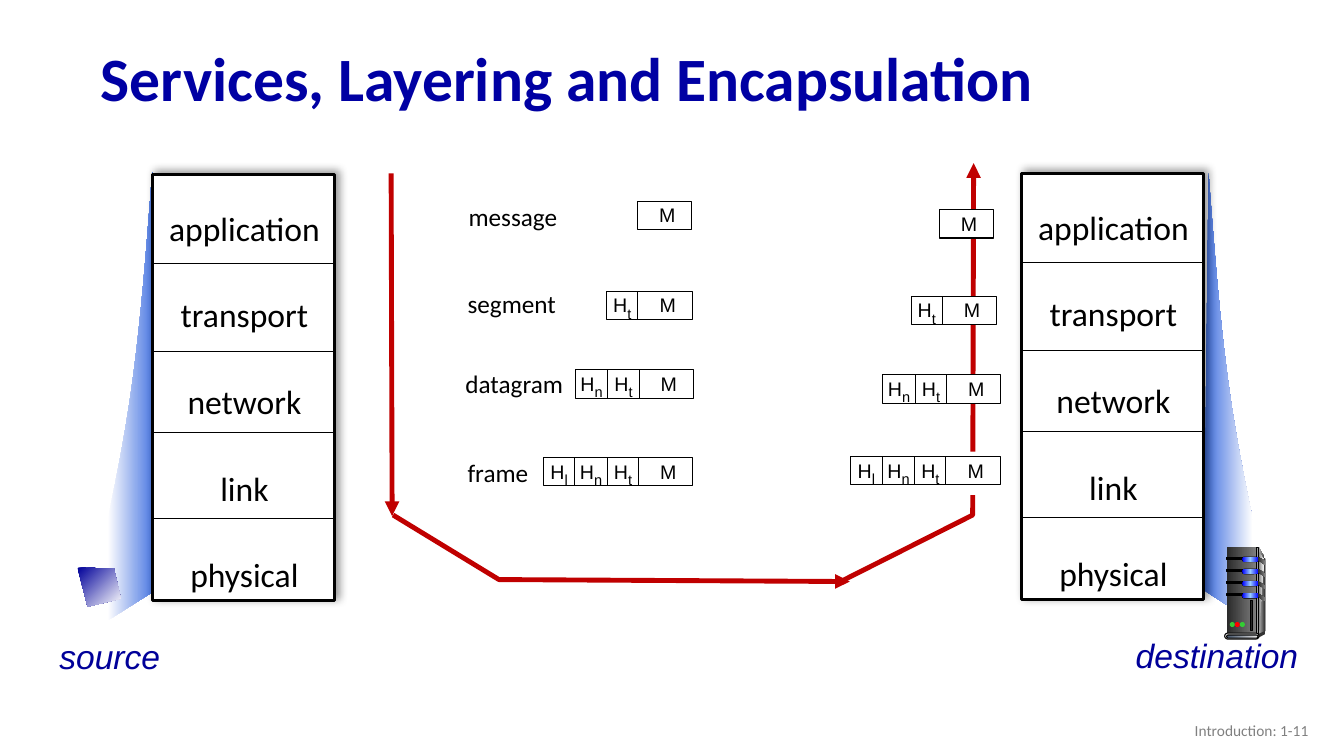
from dataclasses import dataclass
from typing import Optional, Union

from lxml.etree import SubElement
from pptx import Presentation
from pptx.dml.color import RGBColor
from pptx.enum.shapes import MSO_CONNECTOR, MSO_SHAPE
from pptx.enum.text import MSO_ANCHOR, PP_ALIGN
from pptx.oxml.ns import qn
from pptx.util import Pt

Point = tuple[float, float]
Paint = Union[str, tuple[str, ...], None]  # one colour, gradient stops or nothing


@dataclass(frozen=True)
class Theme:
    title: str = "0000A3"
    host: str = "000099"
    ink: str = "000000"
    paper: str = "FFFFFF"
    flow: str = "C00000"
    fan: str = "3C6CDF"
    muted: str = "808080"
    slate: str = "292929"
    steel: str = "333333"
    silver: str = "DDDDDD"
    green: str = "33CC33"
    red: str = "FF0000"
    glow: tuple[str, ...] = ("0000FF", "99CCFF", "0000FF")
    heading: str = "Calibri"
    body: str = "Arial"
    title_size: float = 44
    large: float = 24
    label: float = 18
    unit: float = 14
    footer: float = 11


@dataclass(frozen=True)
class Run:
    text: str
    size: float
    font: str
    color: str
    bold: bool = False
    italic: bool = False
    subscript: bool = False


@dataclass(frozen=True)
class DataUnit:
    cells: str
    right: float
    top: float


@dataclass(frozen=True)
class UnitLabel:
    text: str
    x: float
    y: float
    width: float


@dataclass(frozen=True)
class Part:
    kind: MSO_SHAPE
    x: float
    y: float
    w: float
    h: float
    fill: Paint
    line: Optional[str] = None


THEME = Theme()
LAYERS = ("application", "transport", "network", "link", "physical")
LAYER_EDGES = (63.4, 126.4, 184, 246)
CELL_WIDTH = {"M": 38.9, "t": 22.3, "n": 23.2, "l": 22.6}
CELL_HEIGHT = 20.2
RECT, ROUND, OVAL = MSO_SHAPE.RECTANGLE, MSO_SHAPE.ROUNDED_RECTANGLE, MSO_SHAPE.OVAL

prs = Presentation()
prs.slide_width, prs.slide_height = Pt(960), Pt(540)
slide = prs.slides.add_slide(prs.slide_layouts[6])
shapes = slide.shapes


def paint(shape, fill: Paint, line: Optional[str] = None, width: float = 0.75, angle: float = 0) -> None:
    shape.shadow.inherit = False
    if fill is None:
        shape.fill.background()
    elif isinstance(fill, str):
        shape.fill.solid()
        shape.fill.fore_color.rgb = RGBColor.from_string(fill)
    else:
        shape.fill.gradient()
        shape.fill.gradient_angle = angle
        stops = shape._element.spPr.find(".//" + qn("a:gsLst"))
        stops[:] = []
        for i, color in enumerate(fill):
            stop = SubElement(stops, qn("a:gs"), pos=str(100000 * i // (len(fill) - 1)))
            SubElement(stop, qn("a:srgbClr"), val=color)
    if line is None:
        shape.line.fill.background()
    else:
        shape.line.color.rgb = RGBColor.from_string(line)
        shape.line.width = Pt(width)


def add_part(part: Part, width: float = 0.75):
    shape = shapes.add_shape(part.kind, Pt(part.x), Pt(part.y), Pt(part.w), Pt(part.h))
    if part.kind == ROUND:
        shape.adjustments[0] = 0.5
    paint(shape, part.fill, part.line, width)
    return shape


def add_outline(points: list[Point], closed: bool = True):
    corners = [(Pt(x), Pt(y)) for x, y in points]
    builder = shapes.build_freeform(*corners[0])
    builder.add_line_segments(corners[1:], close=closed)
    return builder.convert_to_shape()


def add_arrowhead(shape) -> None:
    SubElement(shape._element.spPr.find(qn("a:ln")), qn("a:tailEnd"), type="triangle")


def add_flow(points: list[Point]) -> None:
    flow = add_outline(points, closed=False)
    paint(flow, None, THEME.flow, 3.5)
    add_arrowhead(flow)


def add_line(start: Point, end: Point, color: str, width: float):
    line = shapes.add_connector(MSO_CONNECTOR.STRAIGHT, *map(Pt, start + end))
    line.line.color.rgb = RGBColor.from_string(color)
    line.line.width = Pt(width)
    SubElement(line._element.spPr, qn("a:effectLst"))
    return line


def add_text(x: float, y: float, w: float, h: float, lines: list[list[Run]], wrap: bool = False,
             anchor=MSO_ANCHOR.TOP, inset: float = 7.2, **paragraph_format) -> None:
    frame = shapes.add_textbox(Pt(x), Pt(y), Pt(w), Pt(h)).text_frame
    frame_format = {"word_wrap": wrap, "vertical_anchor": anchor,
                    "margin_left": Pt(inset), "margin_right": Pt(inset),
                    "margin_top": Pt(inset / 2), "margin_bottom": Pt(inset / 2)}
    for name, value in frame_format.items():
        setattr(frame, name, value)
    for i, runs in enumerate(lines):
        paragraph = frame.add_paragraph() if i else frame.paragraphs[0]
        for name, value in paragraph_format.items():
            setattr(paragraph, name, value)
        for run in runs:
            piece = paragraph.add_run()
            piece.text = run.text
            font_format = {"name": run.font, "size": Pt(run.size), "bold": run.bold, "italic": run.italic}
            for name, value in font_format.items():
                setattr(piece.font, name, value)
            piece.font.color.rgb = RGBColor.from_string(run.color)
            if run.subscript:
                piece.font._element.set("baseline", "-25000")


def bezier(a: Point, b: Point, c: Point, d: Point, steps: int = 16) -> list[Point]:
    def at(t: float, axis: int) -> float:
        s = 1 - t
        return s**3 * a[axis] + 3 * s * s * t * b[axis] + 3 * s * t * t * c[axis] + t**3 * d[axis]
    return [(at(i / steps, 0), at(i / steps, 1)) for i in range(steps + 1)]


def add_fan(x: float, y: float, side: int) -> None:
    """Beam from a host to its stack; side is -1 to the left, 1 to the right."""
    curve = bezier((x, y), (x + 9.4 * side, y + 128.5), (x + 15 * side, y + 168), (x + 31.7 * side, y + 248))
    fan = add_outline(curve + [(x + 31.7 * side, y + 320), (x - 3.6 * side, y + 297.7)])
    paint(fan, (THEME.fan, THEME.paper)[::side])


def add_stack(x: float, y: float) -> None:
    box = add_part(Part(RECT, x, y, 130, 304.6, THEME.paper, THEME.ink), 2.25)
    effects = box._element.spPr.find(qn("a:effectLst"))
    shadow = SubElement(effects, qn("a:outerShdw"), blurRad=str(Pt(6)), dist=str(Pt(3)), dir="18900000")
    tint = SubElement(shadow, qn("a:srgbClr"), val=THEME.ink)
    SubElement(tint, qn("a:alpha"), val="40000")
    add_text(x - 3.6, y - 13, 139, 317.5, [[Run(name, THEME.large, THEME.heading, THEME.ink)] for name in LAYERS],
             wrap=True, alignment=PP_ALIGN.CENTER, line_spacing=2.15)
    for edge in LAYER_EDGES:
        add_line((x, y + edge), (x + 130, y + edge), THEME.ink, 0.5)


def add_unit(unit: DataUnit) -> None:
    width = sum(CELL_WIDTH[cell] for cell in unit.cells)
    x = unit.right - width
    add_part(Part(RECT, x, unit.top, width, CELL_HEIGHT, THEME.paper, THEME.ink))
    for i, cell in enumerate(unit.cells):
        if i:
            add_line((x, unit.top), (x, unit.top + CELL_HEIGHT), THEME.ink, 0.75)
        runs = [Run("M" if cell == "M" else "H", THEME.unit, THEME.body, THEME.ink)]
        if cell != "M":
            runs.append(Run(cell, THEME.label, THEME.body, THEME.ink, subscript=True))
        nudge = 1.8 if cell == "M" else 0
        add_text(x + nudge, unit.top - 1.8, CELL_WIDTH[cell], 23, [runs],
                 anchor=MSO_ANCHOR.MIDDLE, inset=0, alignment=PP_ALIGN.CENTER)
        x += CELL_WIDTH[cell]


def add_server(x: float, y: float) -> None:
    # Side panel and front
    paint(add_outline([(x + 23, y), (x + 27.4, y + 8), (x + 27.4, y + 59.8), (x + 21.6, y + 62.6)]),
          (THEME.silver, THEME.steel))
    add_part(Part(RECT, x, y, 21.6, 62.6, (THEME.slate, THEME.muted)))
    paint(add_outline([(x + 23, y + 3.6), (x + 26.6, y + 8.6), (x + 23, y + 60.5)]), (THEME.muted, "F8F8F8"))
    add_part(Part(RECT, x + 21.6, y, 1.4, 62.6, (THEME.steel, THEME.silver, THEME.steel), THEME.ink))
    # Drive bays
    for bay in range(4):
        top = y + 6.8 + 8.7 * bay
        add_part(Part(RECT, x, top + 0.4, 12.2, 1.4, THEME.ink, THEME.ink))
        add_part(Part(ROUND, x + 10.8, top - 0.3, 12.2, 4, THEME.ink))
        add_part(Part(ROUND, x + 11.2, top, 11.5, 3.3, THEME.glow))
        paint(add_outline([(x + 22.5, top), (x + 27.5, top + 3), (x + 27.5, top + 5.6), (x + 22.5, top + 2.4)]),
              (THEME.slate, THEME.muted))
    # Base, lights and slot
    paint(add_outline([(x + 22.3, y + 62), (x + 22.3, y + 64.8), (x + 27.4, y + 62), (x + 27.4, y + 59.8)]),
          THEME.steel)
    add_part(Part(ROUND, x - 1.4, y + 61.2, 24.5, 4.3, THEME.silver, THEME.ink))
    add_part(Part(ROUND, x, y + 62.6, 22.3, 2.2, ("44546A", "E7E6E6"), THEME.ink))
    for i, light in enumerate((THEME.green, THEME.red, THEME.green)):
        add_part(Part(OVAL, x + 2.2 + 3.6 * i, y + 53.3, 3.6, 3.6, light))
    add_part(Part(RECT, x + 17.3, y + 38.2, 1.4, 20.9, THEME.slate, THEME.ink))


# Title and footer
add_text(64.8, 23, 828, 70.6, [[Run("Services, Layering and Encapsulation", THEME.title_size, THEME.heading,
                                    THEME.title, bold=True)]],
         wrap=True, anchor=MSO_ANCHOR.MIDDLE, line_spacing=0.9)
add_text(725.8, 507.6, 216, 28.8, [[Run("Introduction: 1-11", THEME.footer, THEME.heading, THEME.muted)]],
         wrap=True, anchor=MSO_ANCHOR.MIDDLE, alignment=PP_ALIGN.RIGHT)

# Hosts with their protocol stacks
add_fan(108.7, 123.1, -1)
add_fan(863.3, 123.8, 1)
screen = add_outline([(55.4, 405.4), (81.4, 406.1), (86.4, 427.7), (62.6, 433.4)])
paint(screen, (THEME.host, THEME.paper), angle=315)
add_stack(108.7, 124.6)
add_stack(729.4, 123.8)
add_server(876.2, 391)
for host, left, top, width in (("source", 35.3, 450.7, 86.4), ("destination", 804.2, 450, 131.8)):
    add_text(left, top, width, 36, [[Run(host, THEME.large, THEME.body, THEME.host, italic=True)]])

# Path down, across and up
add_arrowhead(add_line((279.4, 123.8), (280.1, 368.6), THEME.flow, 3.5))
add_flow([(600.5, 415.4), (694.8, 367.9), (695.5, 116.6)])
add_part(Part(RECT, 626.4, 322.6, 95, 31, THEME.paper))
add_flow([(280.8, 367.9), (356.4, 414), (607, 415.4)])

# Data units at the source, then at the destination
for unit in (DataUnit("M", 494.3, 144), DataUnit("tM", 494.6, 208.1),
             DataUnit("ntM", 495.4, 264.2), DataUnit("lntM", 495, 326.9),
             DataUnit("M", 709.9, 149.8), DataUnit("tM", 712.1, 211.7),
             DataUnit("ntM", 715, 267.8), DataUnit("lntM", 714.6, 326.2)):
    add_unit(unit)
for label in (UnitLabel("message", 327.6, 140.4, 78.5), UnitLabel("segment", 326.9, 202.3, 78.5),
              UnitLabel("datagram", 325.4, 259.2, 85), UnitLabel("frame", 326.9, 323.3, 58.3)):
    add_text(label.x, label.y, label.width, 28.8, [[Run(label.text, THEME.label, THEME.heading, THEME.ink)]])

prs.save("out.pptx")
